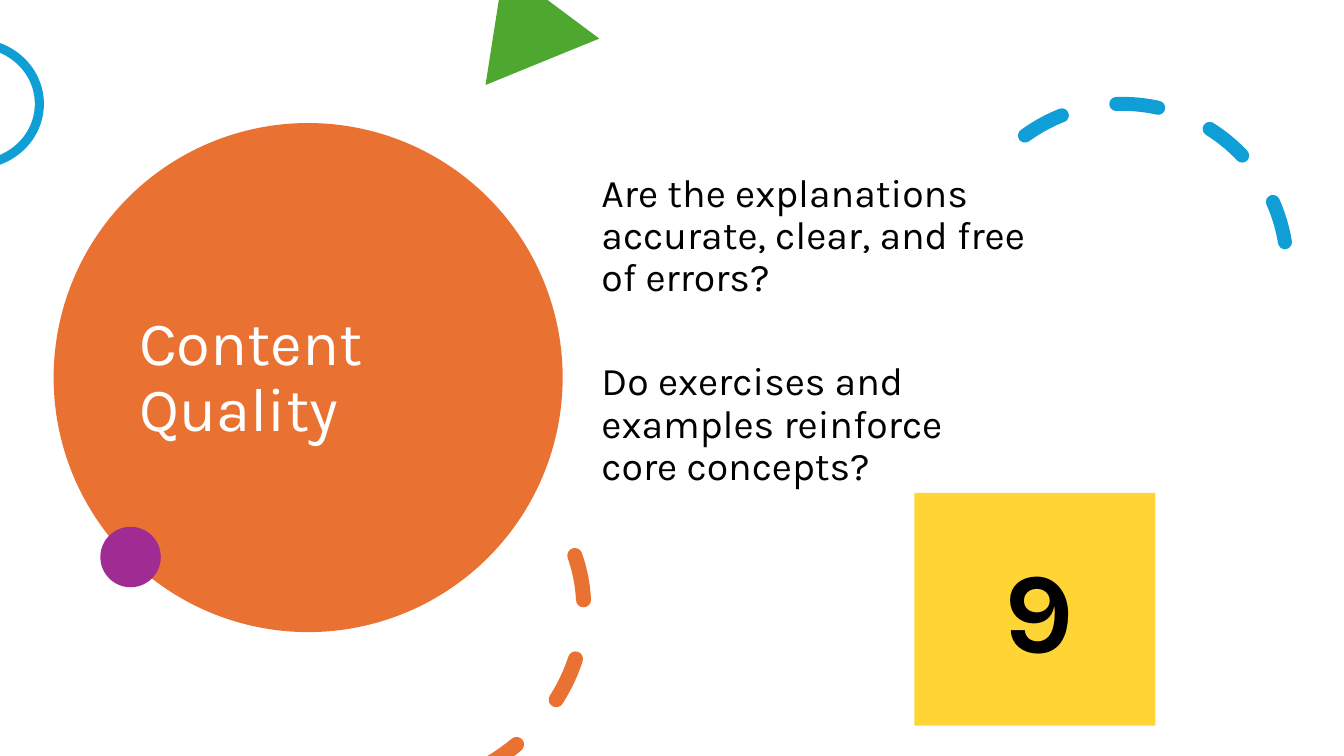
from pptx import Presentation
from pptx.dml.color import RGBColor
from pptx.enum.dml import MSO_LINE
from pptx.enum.shapes import MSO_SHAPE
from pptx.enum.text import MSO_ANCHOR, MSO_AUTO_SIZE, PP_ALIGN
from pptx.util import Pt

ELLIPSE = MSO_SHAPE.OVAL
ARC = MSO_SHAPE.ARC
TRIANGLE = MSO_SHAPE.ISOSCELES_TRIANGLE
RECTANGLE = MSO_SHAPE.RECTANGLE
DASH = MSO_LINE.DASH
TOP, MIDDLE = MSO_ANCHOR.TOP, MSO_ANCHOR.MIDDLE
LEFT = PP_ALIGN.LEFT
FIXED_SIZE = MSO_AUTO_SIZE.NONE
TITLE_ONLY = 5

FONT = "Karla"
ORANGE, BLUE, PURPLE = "E97132", "0F9ED5", "A02B93"
GREEN, YELLOW, WHITE, BLACK = "4EA72E", "FFD535", "FFFFFF", "000000"


def color(hex_code):
    return RGBColor.from_string(hex_code)


def add_shape(page, kind, left, top, width, height, fill=None, line=None,
              weight=1, rotation=0):
    shape = page.shapes.add_shape(kind, Pt(left), Pt(top), Pt(width), Pt(height))
    shape.shadow.inherit = False
    shape.rotation = rotation
    if fill:
        shape.fill.solid()
        shape.fill.fore_color.rgb = color(fill)
    else:
        shape.fill.background()
    if line:
        shape.line.color.rgb = color(line)
        shape.line.width = Pt(weight)
    else:
        shape.line.fill.background()
    return shape


def add_dashed_arc(page, left, top, width, height, angles, line, weight, rotation):
    """Draw a round-capped dashed arc; angles are in units of 5/3 degree."""
    arc = add_shape(page, ARC, left, top, width, height, line=line,
                    weight=weight, rotation=rotation)
    arc.adjustments[0], arc.adjustments[1] = angles
    arc.line.dash_style = DASH
    arc.line._get_or_add_ln().set("cap", "rnd")


def write_text(box, paragraphs, size, ink=BLACK, bold=False, anchor=MIDDLE,
               spacing=0.9, after=0):
    frame = box.text_frame
    frame.word_wrap = True
    frame.auto_size = FIXED_SIZE
    frame.vertical_anchor = anchor
    frame.text = "\n".join(paragraphs)
    for para in frame.paragraphs:
        para.alignment = LEFT
        para.line_spacing = spacing
        para.space_before = Pt(0)
        para.space_after = Pt(after)
        for span in para.runs:
            span.font.name = FONT
            span.font.size = Pt(size)
            span.font.bold = bold
            span.font.color.rgb = color(ink)


def add_text(page, left, top, width, height, paragraphs, size, **text_format):
    box = page.shapes.add_textbox(Pt(left), Pt(top), Pt(width), Pt(height))
    write_text(box, paragraphs, size, **text_format)


def place_title(page, backdrop, left, top, width, height, text, size, **text_format):
    """Put the title placeholder directly in front of the backdrop."""
    title = page.shapes.title
    title.left, title.top = Pt(left), Pt(top)
    title.width, title.height = Pt(width), Pt(height)
    write_text(title, [text], size, **text_format)
    backdrop.element.addnext(title.element)


def main():
    deck = Presentation()
    deck.slide_width, deck.slide_height = Pt(960), Pt(540)
    page = deck.slides.add_slide(deck.slide_layouts[TITLE_ONLY])
    page.background.fill.solid()
    page.background.fill.fore_color.rgb = color(WHITE)

    disc = add_shape(page, ELLIPSE, 38.3, 87.9, 363.6, 363.6, fill=ORANGE)
    place_title(page, disc, 92.2, 110.2, 254.9, 320.4, "Content Quality", 44,
                ink=WHITE)
    add_dashed_arc(page, 684, 74.2, 235.4, 235.4, (158.17, 17.81), BLUE, 10, 330.2)
    add_shape(page, ELLIPSE, 71.7, 376.3, 43.2, 43.2, fill=PURPLE)
    add_text(page, 422.6, 120.2, 316.8, 403.9,
             ["Are the explanations accurate, clear, and free of errors?",
              "Do exercises and examples reinforce core concepts?"],
             28, anchor=TOP, after=44)
    add_shape(page, TRIANGLE, 329.8, -25.9, 87.8, 72.7, fill=GREEN, rotation=337.8)
    add_shape(page, RECTANGLE, 653.2, 352.1, 172.1, 166.3, fill=YELLOW)
    add_dashed_arc(page, 160.6, 306.7, 244.8, 270.7, (162, 23.93), ORANGE, 10.75, 70.5)
    add_shape(page, ELLIPSE, -62.6, 31, 90.7, 86.4, line=BLUE, weight=6.5)
    add_text(page, 710.6, 396, 161.3, 92.9, ["9"], 81.4, bold=True, spacing=0.8)

    deck.save("out.pptx")


if __name__ == "__main__":
    main()
